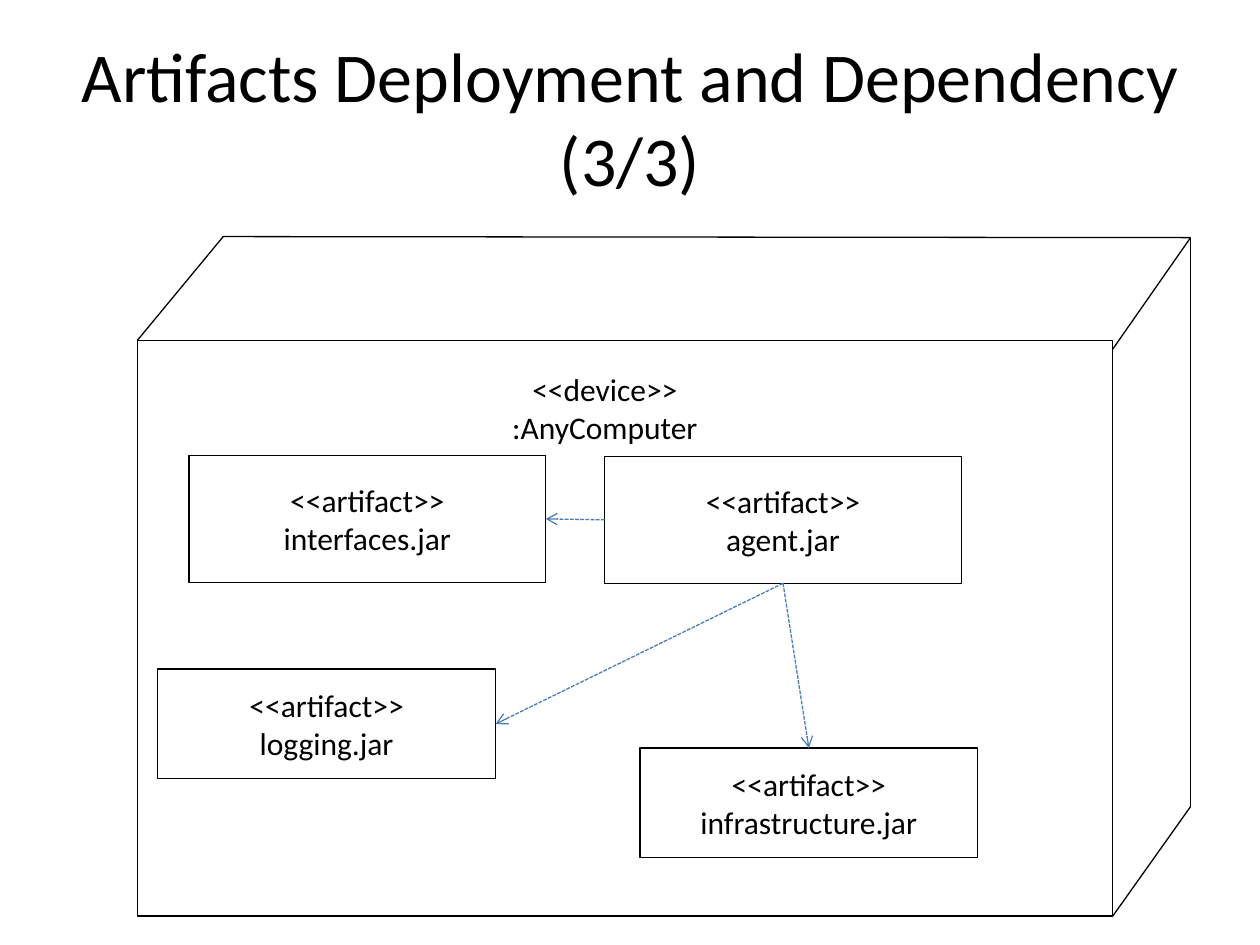
from lxml.etree import SubElement
from pptx import Presentation
from pptx.dml.color import RGBColor
from pptx.enum.dml import MSO_LINE
from pptx.enum.shapes import MSO_CONNECTOR, MSO_SHAPE
from pptx.enum.text import MSO_ANCHOR, PP_ALIGN
from pptx.oxml.ns import qn
from pptx.util import Cm, Pt

BLACK = RGBColor(0x00, 0x00, 0x00)
WHITE = RGBColor(0xFF, 0xFF, 0xFF)
BLUE = RGBColor(0x4A, 0x7E, 0xBB)
TOP, LEFT, BOTTOM, RIGHT = range(4)


def write(frame, text, size):
    frame.text = text
    frame.vertical_anchor = MSO_ANCHOR.MIDDLE
    for paragraph in frame.paragraphs:
        paragraph.alignment = PP_ALIGN.CENTER
        for run in paragraph.runs:
            run.font.name = "Calibri"
            run.font.size = Pt(size)
            run.font.color.rgb = BLACK


def add_line(start, end, color):
    line = slide.shapes.add_connector(
        MSO_CONNECTOR.STRAIGHT, *[Cm(value) for value in start + end])
    line.line.color.rgb = color
    line.line.width = Pt(0.75)
    SubElement(line._element.spPr, qn("a:effectLst"))
    return line


prs = Presentation()
prs.slide_width, prs.slide_height = Cm(25.4), Cm(19.05)
slide = prs.slides.add_slide(prs.slide_layouts[5])

title = slide.shapes.title
title.left, title.top, title.width, title.height = Cm(1.27), Cm(0.76), Cm(22.86), Cm(3.18)
write(title.text_frame, "Artifacts Deployment and Dependency (3/3)", 40)
title.text_frame.word_wrap = True

boxes = {}
for name, x, y, width, height in [
    ("device", 2.77, 6.86, 19.66, 11.61),
    ("agent.jar", 12.19, 9.2, 7.19, 2.56),
    ("interfaces.jar", 3.81, 9.18, 7.19, 2.56),
    ("logging.jar", 3.18, 13.49, 6.81, 2.21),
    ("infrastructure.jar", 12.9, 15.08, 6.81, 2.21),
]:
    box = slide.shapes.add_shape(MSO_SHAPE.RECTANGLE, Cm(x), Cm(y), Cm(width), Cm(height))
    box.shadow.inherit = False
    box.fill.solid()
    box.fill.fore_color.rgb = WHITE
    box.line.color.rgb = BLACK
    box.line.width = Pt(0.75)
    if name != "device":
        write(box.text_frame, f"<<artifact>>\n{name}", 18)
        box.text_frame.word_wrap = False
    boxes[name] = box

front_top_left, front_top_right, front_bottom_right = (2.77, 6.86), (22.43, 7.04), (22.43, 18.47)
back_top_left, back_top_right, back_bottom_right = (4.5, 4.77), (24.0, 4.79), (24.0, 16.26)
for start, end in [
    (front_top_left, back_top_left),
    (back_top_left, back_top_right),
    (front_top_right, back_top_right),
    (back_top_right, back_bottom_right),
    (front_bottom_right, back_bottom_right),
]:
    add_line(start, end, BLACK)

device_label = slide.shapes.add_textbox(Cm(9.68), Cm(7.34), Cm(5.03), Cm(1.78))
write(device_label.text_frame, "<<device>>\n:AnyComputer", 18)
device_label.text_frame.word_wrap = True
device_label.text_frame.vertical_anchor = MSO_ANCHOR.TOP

for agent_side, target, target_side in [
    (LEFT, "interfaces.jar", RIGHT),
    (BOTTOM, "logging.jar", RIGHT),
    (BOTTOM, "infrastructure.jar", TOP),
]:
    dependency = add_line((0, 0), (0, 0), BLUE)
    dependency.begin_connect(boxes["agent.jar"], agent_side)
    dependency.end_connect(boxes[target], target_side)
    dependency.line.dash_style = MSO_LINE.SQUARE_DOT
    SubElement(dependency.line._ln, qn("a:tailEnd"), type="arrow")

prs.save("out.pptx")
